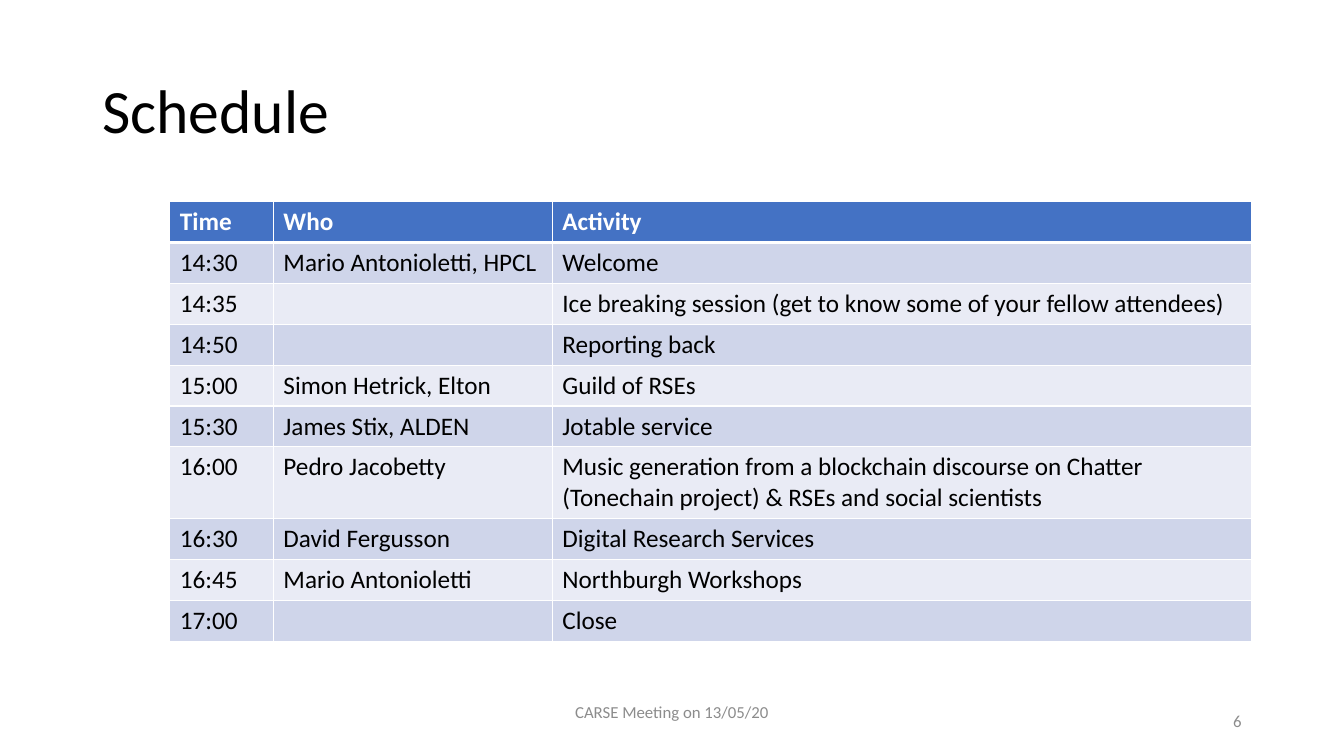
from lxml import etree
from pptx import Presentation
from pptx.dml.color import RGBColor
from pptx.enum.text import MSO_ANCHOR, PP_ALIGN
from pptx.oxml.ns import qn
from pptx.util import Cm, Pt

MIDDLE = MSO_ANCHOR.MIDDLE
LEFT, CENTER, RIGHT = PP_ALIGN.LEFT, PP_ALIGN.CENTER, PP_ALIGN.RIGHT

TITLE = "Schedule"
FOOTER = "CARSE Meeting on 13/05/20"
PAGE_NUMBER = "6"
SCHEDULE = [
    ("Time", "Who", "Activity"),
    ("14:30", "Mario Antonioletti, HPCL", "Welcome"),
    ("14:35", "", "Ice breaking session (get to know some of your fellow attendees)"),
    ("14:50", "", "Reporting back"),
    ("15:00", "Simon Hetrick, Elton", "Guild of RSEs"),
    ("15:30", "James Stix, ALDEN", "Jotable service"),
    ("16:00", "Pedro Jacobetty",
     "Music generation from a blockchain discourse on Chatter "
     "(Tonechain project) & RSEs and social scientists"),
    ("16:30", "David Fergusson", "Digital Research Services"),
    ("16:45", "Mario Antonioletti", "Northburgh Workshops"),
    ("17:00", "", "Close"),
]

FONT = "Calibri"
COLORS = {
    "text": "000000",
    "muted": "8C8C8C",
    "header": "4472C4",
    "odd": "CFD5EA",
    "even": "E9EBF5",
    "white": "FFFFFF",
}
COLUMN_WIDTHS = (2.61, 7.03, 17.62)
ROW_HEIGHT, TALL_ROW_HEIGHT = 1.03, 1.81
TWO_LINE_LENGTH = 70  # longer activities wrap onto a second line


def rgb(color):
    return RGBColor.from_string(COLORS[color])


def format_paragraph(paragraph, size, color, bold=False):
    for run in paragraph.runs:
        run.font.name = FONT
        run.font.size = Pt(size)
        run.font.bold = bold
        run.font.color.rgb = rgb(color)


def add_text(slide, text, box, size, color, align=LEFT):
    """Add a vertically centred line of text; box is left, top, width, height in cm."""
    frame = slide.shapes.add_textbox(*map(Cm, box)).text_frame
    frame.word_wrap = True
    frame.vertical_anchor = MIDDLE
    frame.text = text
    paragraph = frame.paragraphs[0]
    paragraph.alignment = align
    format_paragraph(paragraph, size, color)
    return paragraph


def set_borders(cell, is_header, below_header):
    """Draw white cell edges, with a heavier rule under the header row."""
    widths = {"a:lnL": 1, "a:lnR": 1,
              "a:lnT": 3 if below_header else 1,
              "a:lnB": 3 if is_header else 1}
    properties = cell._tc.get_or_add_tcPr()
    for position, (edge, width) in enumerate(widths.items()):
        line = etree.Element(qn(edge), w=str(Pt(width)))
        fill = etree.SubElement(line, qn("a:solidFill"))
        etree.SubElement(fill, qn("a:srgbClr"), val=COLORS["white"])
        properties.insert(position, line)


def add_schedule(slide):
    heights = [TALL_ROW_HEIGHT if len(activity) > TWO_LINE_LENGTH else ROW_HEIGHT
               for _, _, activity in SCHEDULE]
    table = slide.shapes.add_table(
        len(SCHEDULE), len(COLUMN_WIDTHS), Cm(4.28), Cm(5.08),
        Cm(sum(COLUMN_WIDTHS)), Cm(sum(heights))).table
    for column, width in zip(table.columns, COLUMN_WIDTHS):
        column.width = Cm(width)
    for r, (entry, height) in enumerate(zip(SCHEDULE, heights)):
        table.rows[r].height = Cm(height)
        is_header = r == 0
        band = "header" if is_header else "odd" if r % 2 else "even"
        for c, text in enumerate(entry):
            cell = table.cell(r, c)
            cell.text = text
            cell.fill.solid()
            cell.fill.fore_color.rgb = rgb(band)
            set_borders(cell, is_header, r == 1)
            format_paragraph(cell.text_frame.paragraphs[0], 18,
                             "white" if is_header else "text", is_header)


def main():
    presentation = Presentation()
    presentation.slide_width, presentation.slide_height = Cm(33.87), Cm(19.05)
    slide = presentation.slides.add_slide(presentation.slide_layouts[6])

    title = add_text(slide, TITLE, (2.33, 1.01, 29.21, 3.68), 44, "text")
    title.line_spacing = 0.9
    add_schedule(slide)
    add_text(slide, PAGE_NUMBER, (23.92, 17.66, 7.62, 1.01), 12, "muted", RIGHT)
    add_text(slide, FOOTER, (11.22, 17.42, 11.43, 1.01), 12, "muted", CENTER)

    presentation.save("out.pptx")


if __name__ == "__main__":
    main()
